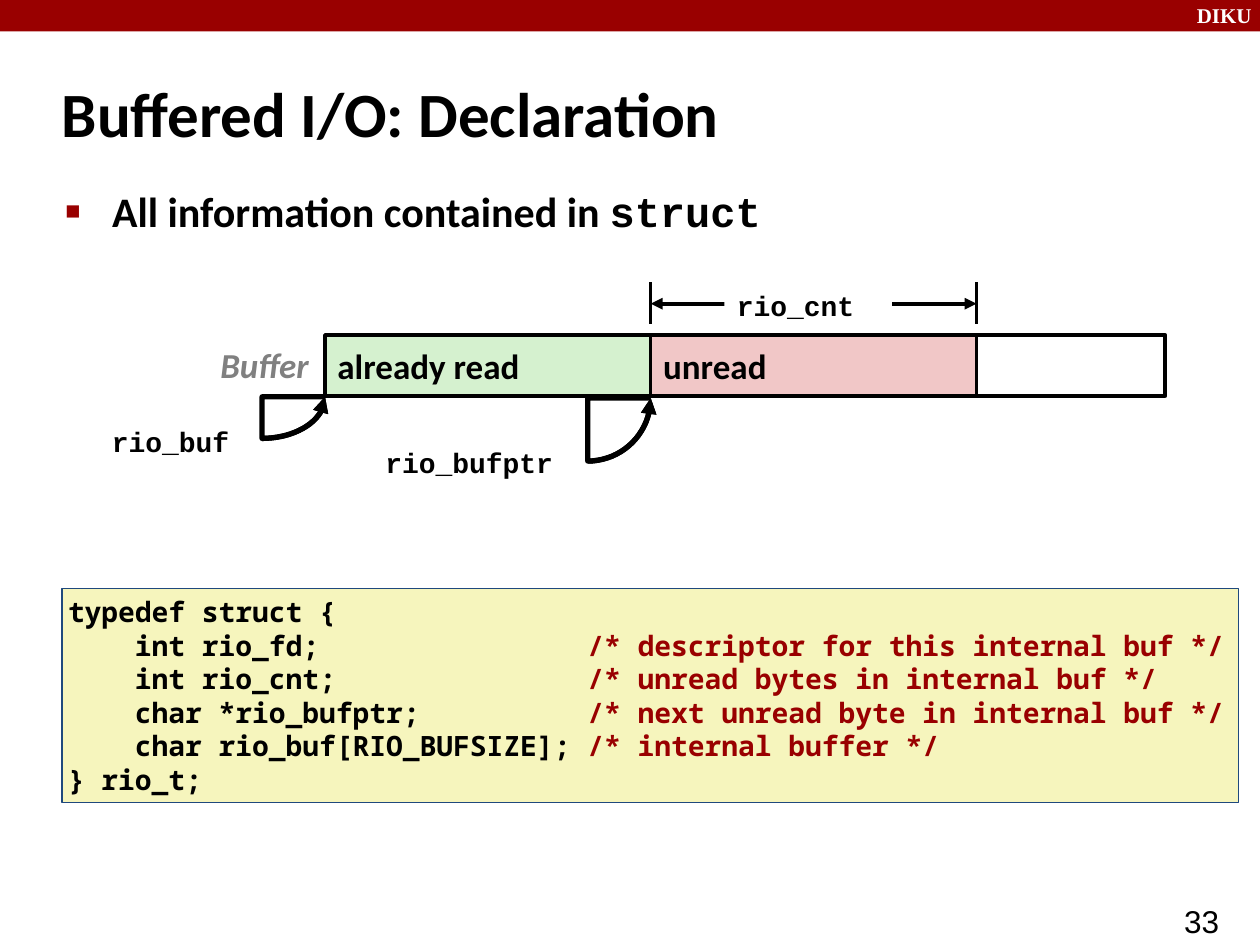
from math import cos, pi, sin

from lxml.etree import SubElement
from pptx import Presentation
from pptx.dml.color import RGBColor
from pptx.enum.shapes import MSO_CONNECTOR, MSO_SHAPE
from pptx.enum.text import MSO_ANCHOR, MSO_AUTO_SIZE, PP_ALIGN
from pptx.oxml.ns import qn
from pptx.util import Inches, Pt

HUES = {name: RGBColor.from_string(code) for name, code in {
    "red": "990000", "black": "000000", "white": "FFFFFF", "gray": "808080",
    "cream": "F6F5BD", "navy": "1F497D", "pink": "F1C7C7", "green": "D5F1CF",
}.items()}

deck = Presentation()
deck.slide_width, deck.slide_height = Inches(10), Inches(7.5)
unit = deck.slide_width // 10  # grid of 10 columns by 7.5 rows
slide = deck.slides.add_slide(deck.slide_layouts[1])
shapes = slide.shapes


def style(font, name, size, hue="black", bold=True, italic=False):
    font.name, font.size, font.bold, font.italic = name, Pt(size), bold, italic
    font.color.rgb = HUES[hue]


def block(x, y, w, h, fill=None, line=None, width=1.5):
    """Add a rectangle in grid units, with left-aligned text."""
    rect = shapes.add_shape(MSO_SHAPE.RECTANGLE, *(int(v * unit) for v in (x, y, w, h)))
    rect.shadow.inherit = False
    if fill:
        rect.fill.solid()
        rect.fill.fore_color.rgb = HUES[fill]
    else:
        rect.fill.background()
    if line:
        rect.line.color.rgb = HUES[line]
        rect.line.width = Pt(width)
    else:
        rect.line.fill.background()
    rect.text_frame.paragraphs[0].alignment = PP_ALIGN.LEFT
    return rect


# Red band across the top
block(0, 0, 10, 0.25, "red")

# Title and bullet
title, body = shapes.title, slide.placeholders[1]
for holder, area in ((title, (0.39, 0.48, 8.3, 0.83)), (body, (0.41, 1.42, 9.08, 0.66))):
    holder.left, holder.top, holder.width, holder.height = (int(v * unit) for v in area)
    holder.text_frame.auto_size = MSO_AUTO_SIZE.NONE
title.text = "Buffered I/O: Declaration"
title.text_frame.vertical_anchor = MSO_ANCHOR.MIDDLE
head = title.text_frame.paragraphs[0]
head.alignment = PP_ALIGN.LEFT
style(head.font, "Calibri", 36)

point = body.text_frame.paragraphs[0]
point.space_before = Pt(0)
props = point._p.get_or_add_pPr()
props.set("marL", str(Inches(0.38)))
props.set("indent", str(-Inches(0.37)))
SubElement(SubElement(props, qn("a:buClr")), qn("a:srgbClr")).set("val", str(HUES["red"]))
SubElement(props, qn("a:buSzPct")).set("val", "60000")
SubElement(props, qn("a:buFont")).set("typeface", "Arial")
SubElement(props, qn("a:buChar")).set("char", "■")
for text, face in (("All information contained in ", "Calibri"), ("struct", "Courier New")):
    run = point.add_run()
    run.text = text
    style(run.font, face, 24)

# Code listing
code = [
    ("typedef struct {", ""),
    ("    int rio_fd;", "/* descriptor for this internal buf */"),
    ("    int rio_cnt;", "/* unread bytes in internal buf */"),
    ("    char *rio_bufptr;", "/* next unread byte in internal buf */"),
    ("    char rio_buf[RIO_BUFSIZE];", "/* internal buffer */"),
    ("} rio_t;", ""),
]
frame = block(0.49, 4.67, 9.34, 1.7, "cream", "navy", 1).text_frame
frame.vertical_anchor = MSO_ANCHOR.TOP
frame.margin_left = frame.margin_right = Inches(0.05)
for i, (left, note) in enumerate(code):
    para = frame.paragraphs[0] if i == 0 else frame.add_paragraph()
    para.alignment = PP_ALIGN.LEFT
    parts = [(left.ljust(31), "black"), (note, "red")] if note else [(left, "black")]
    for text, hue in parts:
        run = para.add_run()
        run.text = text
        style(run.font, "Noto Sans Mono", 16, hue)

# Buffer cells
start, cell, top, high = 2.58, 2.585, 2.66, 0.48
mid, end = start + cell, start + 2 * cell
for x, text, fill in ((mid, "unread", "pink"), (start, "already read", "green")):
    part = block(x, top, cell, high, fill, "black")
    part.text_frame.vertical_anchor = MSO_ANCHOR.MIDDLE
    part.text_frame.text = text
    style(part.text_frame.paragraphs[0].font, "Calibri", 20)
block(start, top, 6.67, high, None, "black", 2.25)

# Curved pointers to the cell edges
for tip, y, w, h in ((start, 3.15, 0.5, 0.33), (mid, 3.16, 0.5, 0.5)):
    arc = [(int((tip - w + w * cos(t * pi / 40)) * unit),
            int((y + h * sin(t * pi / 40)) * unit)) for t in range(21)]
    corner = (int((tip - w) * unit), int(y * unit))
    pen = shapes.build_freeform(*arc[0])
    pen.add_line_segments(arc[1:], close=False)
    pen.move_to(*arc[0])
    pen.add_line_segments(arc[1:] + [corner], close=True)
    hook = pen.convert_to_shape()
    hook.shadow.inherit = False
    hook.fill.background()
    hook.line.color.rgb = HUES["black"]
    hook.line.width = Pt(3)
    SubElement(hook.line._get_or_add_ln(), qn("a:headEnd")).set("type", "triangle")

# Span of the unread bytes
for x1, y1, x2, y2, width in (
    (mid, 2.57, mid, 2.24, 1.5), (end, 2.57, end, 2.24, 1.5), (mid, 2.41, end, 2.41, 2.25),
):
    rule = shapes.add_connector(
        MSO_CONNECTOR.STRAIGHT, *(int(v * unit) for v in (x1, y1, x2, y2)))
    rule.line.color.rgb = HUES["black"]
    rule.line.width = Pt(width)
    if y1 == y2:
        for tag in ("a:headEnd", "a:tailEnd"):
            SubElement(rule.line._get_or_add_ln(), qn(tag)).set("type", "triangle")
    SubElement(rule._element.spPr, qn("a:effectLst"))
gap = block(5.75, 2.24, 1.33, 0.36, "white")

# Labels
mono = ("Courier New", 16)
labels = [
    ("DIKU", (9.4, -0.03, 0.67, 0.3), ("Times New Roman", 12, "white")),
    ("33", (9.3, 7.11, 0.75, 0.29), ("Arial", 18, "black", False)),
    ("Buffer", (1.65, 2.68, 0.92, 0.43), ("Calibri", 20, "gray", True, True)),
    ("rio_buf", (0.79, 3.32, 1.14, 0.36), mono),
    ("rio_bufptr", (2.96, 3.49, 1.75, 0.36), mono),
    ("rio_cnt", None, mono),
]
for text, area, look in labels:
    box = shapes.add_textbox(*(int(v * unit) for v in area)) if area else gap
    frame = box.text_frame
    frame.word_wrap = True
    frame.vertical_anchor = MSO_ANCHOR.TOP
    frame.text = text
    frame.paragraphs[0].alignment = PP_ALIGN.LEFT
    style(frame.paragraphs[0].font, *look)

deck.save("out.pptx")
